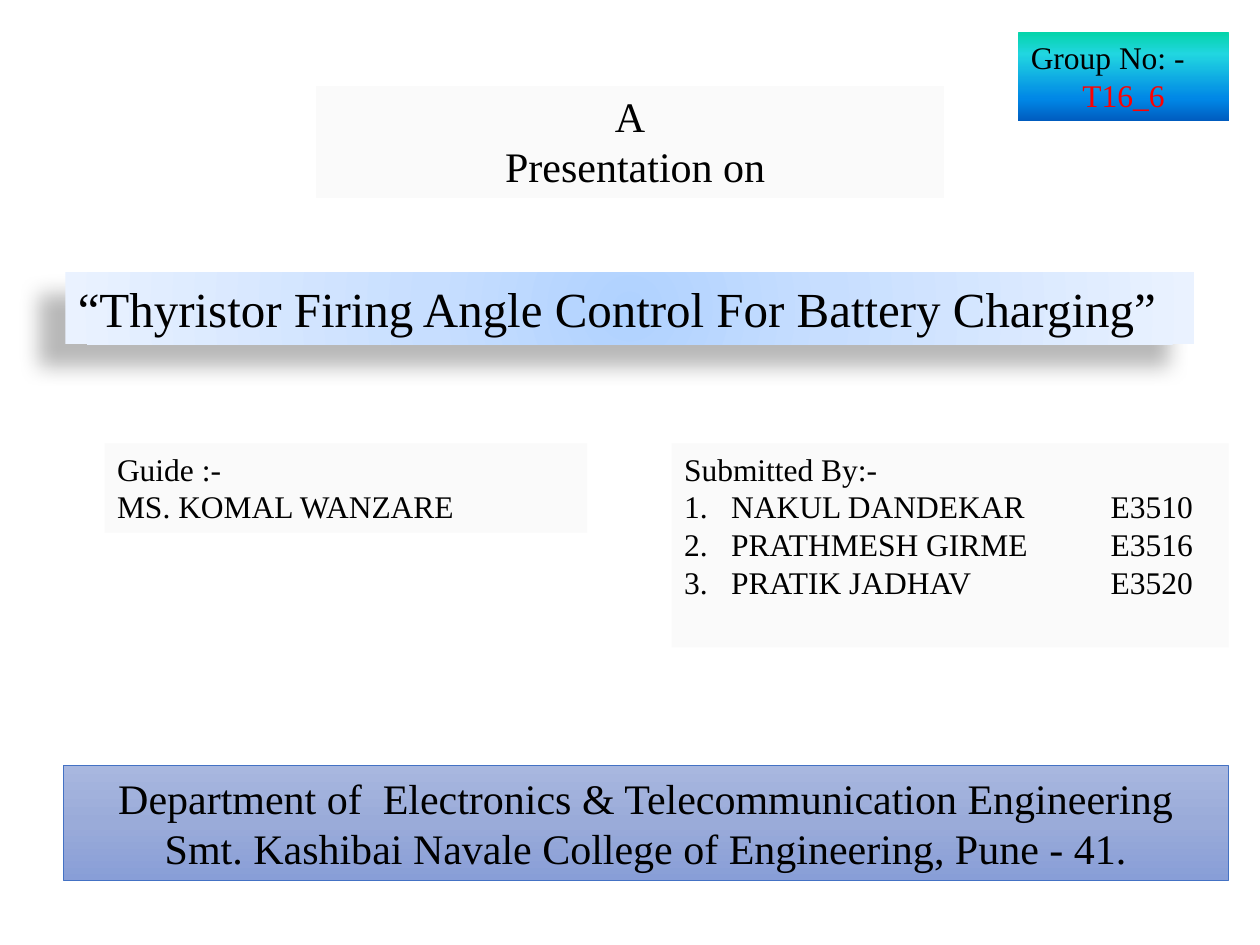
from lxml import etree
from pptx import Presentation
from pptx.dml.color import RGBColor
from pptx.enum import shapes, text
from pptx.oxml import ns, parse_xml
from pptx.util import Cm, Pt

FONT = "Times New Roman"
COLOURS = {"ink": "000000", "accent": "FF0000", "panel": "FAFAFA",
           "white": "FFFFFF", "border": "4472C4"}
TITLE_STOPS = [(0, "B0D2FF"), (35, "C7DEFF"), (100, "EAF2FF")]
COLLEGE_STOPS = [(0, "A8B7DF"), (50, "9AABD9"), (100, "889ED7")]
GROUP_STOPS = [(0, "03D4A8"), (25, "21D6E0"), (75, "0087E6"), (100, "005CBF")]
LINEAR = '<a:lin ang="5400000" scaled="0"/>'
RADIAL = ('<a:path path="circle"><a:fillToRect l="50000" t="50000" '
          'r="50000" b="50000"/></a:path>')

INTRO = ["A", " Presentation on"]
TITLE = ["“Thyristor Firing Angle Control For Battery Charging”"]
GUIDE = ["Guide :-", "MS. KOMAL WANZARE"]
STUDENTS = [("NAKUL DANDEKAR", "E3510"), ("PRATHMESH GIRME", "E3516"),
            ("PRATIK JADHAV", "E3520")]
COLLEGE = ["Department of  Electronics & Telecommunication Engineering",
           "Smt. Kashibai Navale College of Engineering, Pune - 41."]
GROUP = ["Group No: -", "T16_6"]

LEFT, RIGHT = 1.27, 24.77   # page margins, cm
PEOPLE_TOP = 8.94
INDENT, ROLL_TAB = 0.95, 8.6


def colour(name):
    return RGBColor.from_string(COLOURS[name])


def a_element(xml):
    """Parse one element whose tags use the a: prefix."""
    head, tail = xml.split(">", 1) if not xml.split(">", 1)[0].endswith("/") \
        else (xml[:-2], None)
    space = " " + ns.nsdecls("a")
    return parse_xml(head + space + ("/>" if tail is None else ">" + tail))


def set_gradient(box, stops, direction):
    box.fill.background()
    old = box._element.spPr.find(ns.qn("a:noFill"))
    marks = "".join(f'<a:gs pos="{place * 1000}"><a:srgbClr val="{value}"/></a:gs>'
                    for place, value in stops)
    old.getparent().replace(old, a_element(
        f'<a:gradFill rotWithShape="1"><a:gsLst>{marks}</a:gsLst>{direction}</a:gradFill>'))


def add_shadow(box):
    effects = box._element.spPr.find(ns.qn("a:effectLst"))
    effects.append(a_element(
        f'<a:outerShdw blurRad="{Pt(11.8)}" dist="{Pt(19.7)}" dir="{141 * 60000}" '
        f'rotWithShape="0"><a:srgbClr val="{COLOURS["ink"]}">'
        '<a:alpha val="28000"/></a:srgbClr></a:outerShdw>'))


def add_box(page, place, lines, size, centred=False, line=None):
    box = page.shapes.add_shape(shapes.MSO_SHAPE.RECTANGLE, *map(Cm, place))
    box.shadow.inherit = False
    box.fill.solid()
    box.fill.fore_color.rgb = colour("panel")
    if line:
        box.line.color.rgb = colour(line[0])
        box.line.width = Pt(line[1])
    else:
        box.line.fill.background()
    frame = box.text_frame
    frame.word_wrap = True
    frame.vertical_anchor = text.MSO_ANCHOR.TOP
    for number, words in enumerate(lines):
        para = frame.paragraphs[0] if number == 0 else frame.add_paragraph()
        para.alignment = text.PP_ALIGN.CENTER if centred else text.PP_ALIGN.LEFT
        span = para.add_run()
        span.text = words
        span.font.name, span.font.size = FONT, Pt(size)
        span.font.color.rgb = colour("ink")
    return box


def number_line(para):
    """Number a paragraph and align its roll number at a tab stop."""
    props = para._p.get_or_add_pPr()
    props.set("marL", str(Cm(INDENT)))
    props.set("indent", str(-Cm(INDENT)))
    etree.SubElement(props, ns.qn("a:buFont"), typeface="+mj-lt")
    etree.SubElement(props, ns.qn("a:buAutoNum"), type="arabicPeriod")
    tabs = etree.SubElement(props, ns.qn("a:tabLst"))
    etree.SubElement(tabs, ns.qn("a:tab"), pos=str(Cm(ROLL_TAB)), algn="l")


def main():
    deck = Presentation()
    deck.slide_width, deck.slide_height = Cm(25.4), Cm(19.05)
    page = deck.slides.add_slide(deck.slide_layouts[6])

    add_box(page, (6.35, 1.7, 12.7, 2.31), INTRO, 24, True, ("white", 1.5))

    title = add_box(page, (1.32, 5.49, 22.76, 1.45), TITLE, 28)
    set_gradient(title, TITLE_STOPS, RADIAL)
    add_shadow(title)

    add_box(page, (2.11, PEOPLE_TOP, 9.73, 1.8), GUIDE, 18)

    names = ["Submitted By:-"] + ["\t".join(student) for student in STUDENTS]
    width = 11.23
    team = add_box(page, (RIGHT - width, PEOPLE_TOP, width, 4.11), names, 18)
    for para in team.text_frame.paragraphs[1:]:
        number_line(para)

    college = add_box(page, (LEFT, 15.44, RIGHT - LEFT, 2.31), COLLEGE, 24, True,
                      ("border", 0.5))
    set_gradient(college, COLLEGE_STOPS, LINEAR)

    width = 4.24
    group = add_box(page, (RIGHT - width, 0.64, width, 1.8), GROUP, 18)
    set_gradient(group, GROUP_STOPS, LINEAR)
    code = group.text_frame.paragraphs[1]
    code.alignment = text.PP_ALIGN.CENTER
    code.runs[0].font.color.rgb = colour("accent")

    deck.save("out.pptx")


if __name__ == "__main__":
    main()
